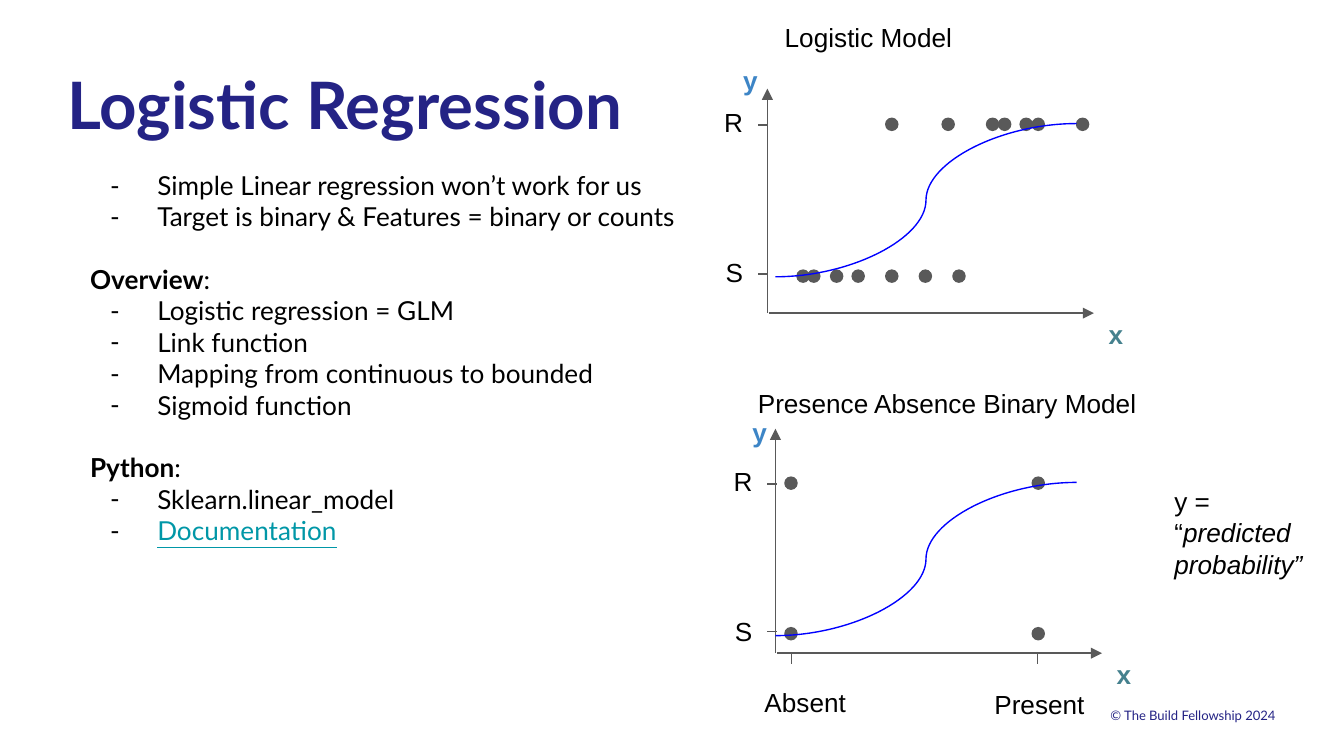
from lxml import etree
from pptx import Presentation
from pptx.dml.color import RGBColor
from pptx.enum.shapes import MSO_CONNECTOR, MSO_SHAPE
from pptx.enum.text import MSO_ANCHOR, MSO_AUTO_SIZE, PP_ALIGN
from pptx.oxml.ns import qn
from pptx.util import Inches, Pt

STRAIGHT, CURVE = MSO_CONNECTOR.STRAIGHT, MSO_CONNECTOR.CURVE
OVAL = MSO_SHAPE.OVAL
TOP, MIDDLE = MSO_ANCHOR.TOP, MSO_ANCHOR.MIDDLE
LEFT, RIGHT = PP_ALIGN.LEFT, PP_ALIGN.RIGHT
NO_FIT = MSO_AUTO_SIZE.NONE

COLORS = {"navy": "242385", "black": "000000", "gray": "595959", "link": "0097A7",
          "x": "45818E", "y": "3D85C6", "curve": "0000FF"}

# Content
TITLE = "Logistic Regression"
COPYRIGHT = "© The Build Fellowship 2024"
SECTIONS = [
    (None, ["Simple Linear regression won’t work for us",
            "Target is binary & Features = binary or counts"]),
    ("Overview", ["Logistic regression = GLM", "Link function",
                  "Mapping from continuous to bounded", "Sigmoid function"]),
    ("Python", ["Sklearn.linear_model", "Documentation"]),
]
LINKS = {"Documentation"}

# Each plot: axis origin and tips, label places, levels, and dots by level
PLOTS = [
    {"title": ("Logistic Model", 5.74, 0.06, 2.42),
     "origin": (5.71, 2.33), "y_tip": 0.66, "x_tip": 8.14,
     "y_label": (5.43, 0.38), "x_label": (8.15, 2.27),
     "levels": [("R", 5.29, 0.69, 0.93), ("S", 5.30, 1.81, 2.04)],
     "ticks": (5.64, 5.71),
     "dots": {0.88: [6.59, 7.01, 7.34, 7.43, 7.59, 7.68, 8.01],
              2.01: [5.93, 6.01, 6.18, 6.34, 6.59, 6.84, 7.09]},
     "curve": (2.06, 0.92), "categories": []},
    {"title": ("Presence Absence Binary Model", 5.54, 2.78, 3.11),
     "origin": (5.77, 4.86), "y_tip": 3.19, "x_tip": 8.20,
     "y_label": (5.50, 3.00), "x_label": (8.21, 4.80),
     "levels": [("R", 5.36, 3.36, 3.60), ("S", 5.37, 4.48, 4.70)],
     "ticks": (5.71, 5.78),
     "dots": {3.55: [5.84, 7.68], 4.67: [5.84, 7.68]},
     "curve": (4.73, 3.59),
     "categories": [("Absent", 5.59, 5.01, 0.84, 5.89),
                    ("Present", 7.30, 5.02, 0.92, 7.72)]},
]
CURVE_X = (5.77, 8.01)
DOT = 0.09
AXIS_GAP = 0.01
LABEL_W, LABEL_H = 0.48, 0.31

# A 16:9 slide
prs = Presentation()
prs.slide_width = Inches(10)
prs.slide_height = prs.slide_width * 9 // 16
slide = prs.slides.add_slide(prs.slide_layouts[1])
shapes = slide.shapes


def write(paragraph, text, size=14, font="Arial", color="black",
          bold=False, italic=False, underline=False):
    run = paragraph.add_run()
    run.text = text
    run.font.size, run.font.name = Pt(size), font
    run.font.bold, run.font.italic, run.font.underline = bold, italic, underline
    run.font.color.rgb = RGBColor.from_string(COLORS[color])


def set_frame(shape, left, top, width, height, inset=0.1, anchor=TOP):
    shape.left, shape.top = Inches(left), Inches(top)
    shape.width, shape.height = Inches(width), Inches(height)
    frame = shape.text_frame
    frame.word_wrap, frame.auto_size, frame.vertical_anchor = True, NO_FIT, anchor
    frame.margin_left = frame.margin_right = Inches(inset)
    frame.margin_top = frame.margin_bottom = Inches(inset)
    return frame


def add_box(left, top, width, height, **layout):
    box = shapes.add_textbox(0, 0, 0, 0)
    return set_frame(box, left, top, width, height, **layout).paragraphs[0]


def add_label(text, left, top, width=LABEL_W, **style):
    write(add_box(left, top, width, LABEL_H), text, **style)


def add_line(x1, y1, x2, y2, kind=STRAIGHT, color="gray", arrow=False):
    line = shapes.add_connector(kind, Inches(x1), Inches(y1), Inches(x2), Inches(y2))
    line.line.color.rgb = RGBColor.from_string(COLORS[color])
    line.line.width = Pt(0.75)
    props = line._element.spPr
    if arrow:
        etree.SubElement(props.find(qn("a:ln")), qn("a:tailEnd"), type="triangle")
    etree.SubElement(props, qn("a:effectLst"))


def add_dot(left, top):
    dot = shapes.add_shape(OVAL, Inches(left), Inches(top), Inches(DOT), Inches(DOT))
    dot.shadow.inherit = False
    dot.fill.solid()
    dot.fill.fore_color.rgb = dot.line.color.rgb = RGBColor.from_string(COLORS["gray"])
    dot.line.width = Pt(0.75)


def set_bullet(paragraph, dash):
    props = paragraph._p.get_or_add_pPr()
    props.set("marL", str(Inches(0.5 if dash else 0)))
    props.set("indent", str(Inches(-0.35 if dash else 0)))
    if not dash:
        etree.SubElement(props, qn("a:buNone"))
        return
    color = etree.SubElement(props, qn("a:buClr"))
    etree.SubElement(color, qn("a:srgbClr"), val=COLORS["black"])
    etree.SubElement(props, qn("a:buFont"), typeface="Lato")
    etree.SubElement(props, qn("a:buChar"), char="-")


# Copyright line
credit = add_box(0.5, 5.24, 8.99, 0.16, inset=0, anchor=MIDDLE)
credit.alignment = RIGHT
write(credit, COPYRIGHT, size=7, font="Lato", color="navy")

# Title
heading = set_frame(shapes.title, 0.5, 0.48, 7.28, 1.15, inset=0).paragraphs[0]
heading.alignment = LEFT
write(heading, TITLE, size=35, font="Lato", color="navy", bold=True)

# Outline: a line's gap stands before each headed section
outline = set_frame(slide.placeholders[1], 0.57, 1.16, 4.68, 3.56)
lines = [(text, text == header) for header, items in SECTIONS
         for text in ([header] if header else []) + items]
for i, (text, is_header) in enumerate(lines):
    paragraph = outline.add_paragraph() if i else outline.paragraphs[0]
    set_bullet(paragraph, dash=not is_header)
    paragraph.space_before = Pt(16.8 if is_header else 0)
    if is_header:
        write(paragraph, text, font="Lato", bold=True)
        write(paragraph, ":", font="Lato")
    else:
        linked = text in LINKS
        write(paragraph, text, font="Lato", color="link" if linked else "black",
              underline=linked)

# Plots
for plot in PLOTS:
    x0, y0 = plot["origin"]
    add_line(x0, y0, x0, plot["y_tip"], arrow=True)
    add_line(x0 + AXIS_GAP, y0, plot["x_tip"], y0, arrow=True)
    add_label(*plot["title"])
    for axis in ("x", "y"):
        add_label(axis, *plot[axis + "_label"], color=axis, bold=True)
    for top, lefts in plot["dots"].items():
        for left in lefts:
            add_dot(left, top)
    for name, left, top, tick_y in plot["levels"]:
        add_label(name, left, top)
        add_line(plot["ticks"][1], tick_y, plot["ticks"][0], tick_y)
    for name, left, top, width, tick_x in plot["categories"]:
        add_label(name, left, top, width)
        add_line(tick_x, y0, tick_x, y0 + 0.08)
    low, high = plot["curve"]
    add_line(CURVE_X[0], low, CURVE_X[1], high, kind=CURVE, color="curve")

# Meaning of y
meaning = add_box(8.64, 3.51, 1.26, 1.02)
write(meaning, "y = “")
write(meaning, "predicted probability”", italic=True)

prs.save("out.pptx")
